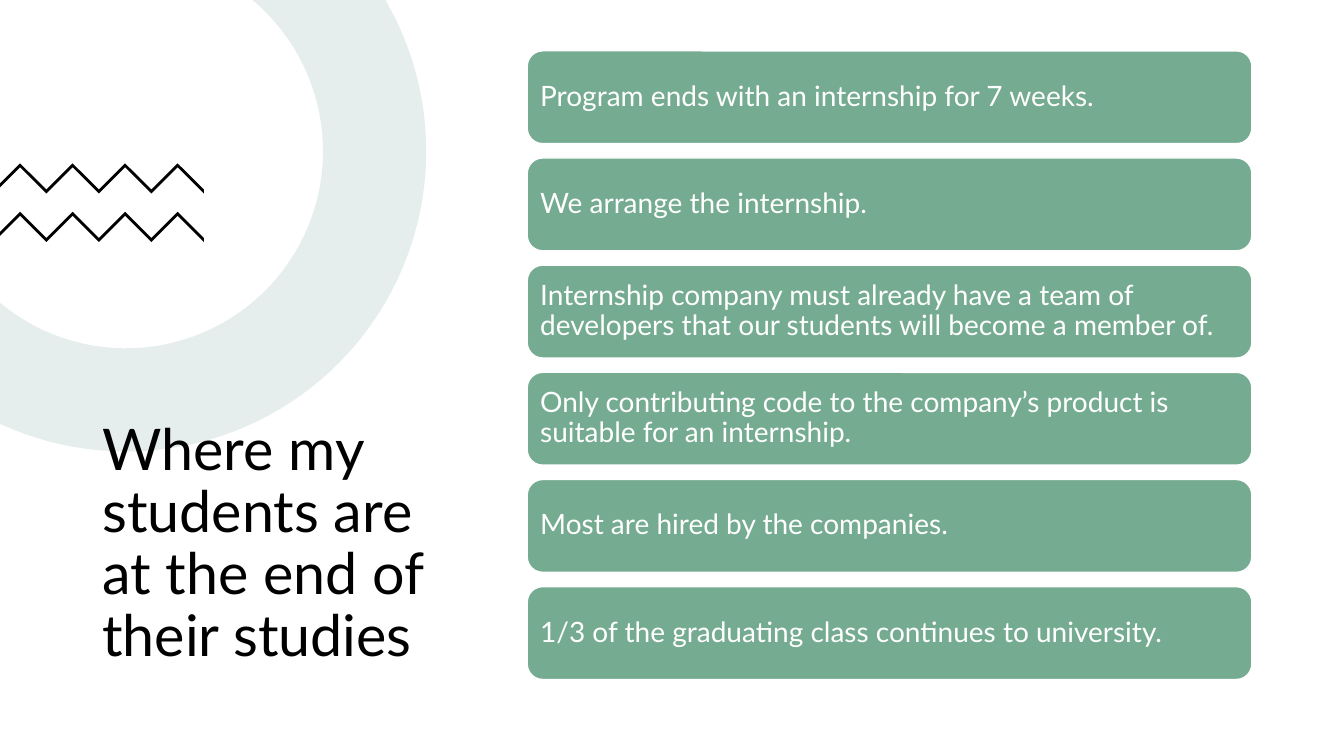
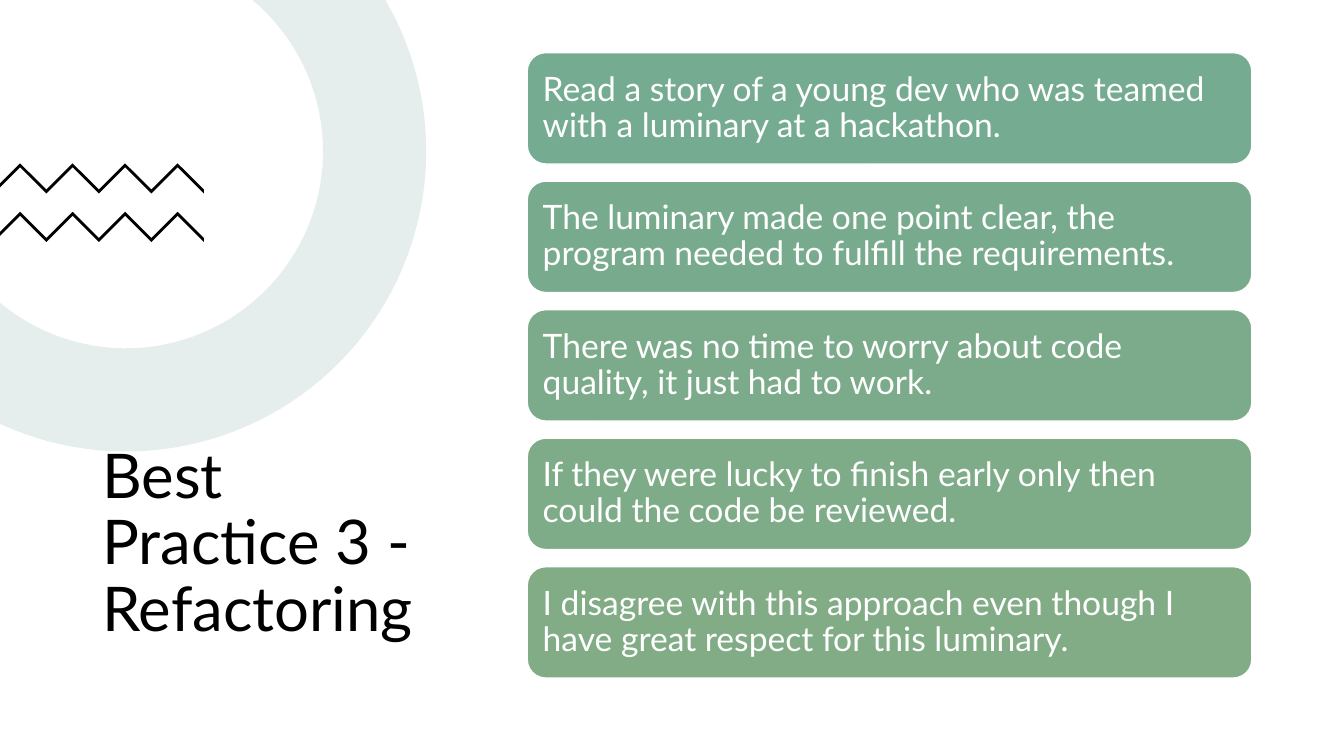
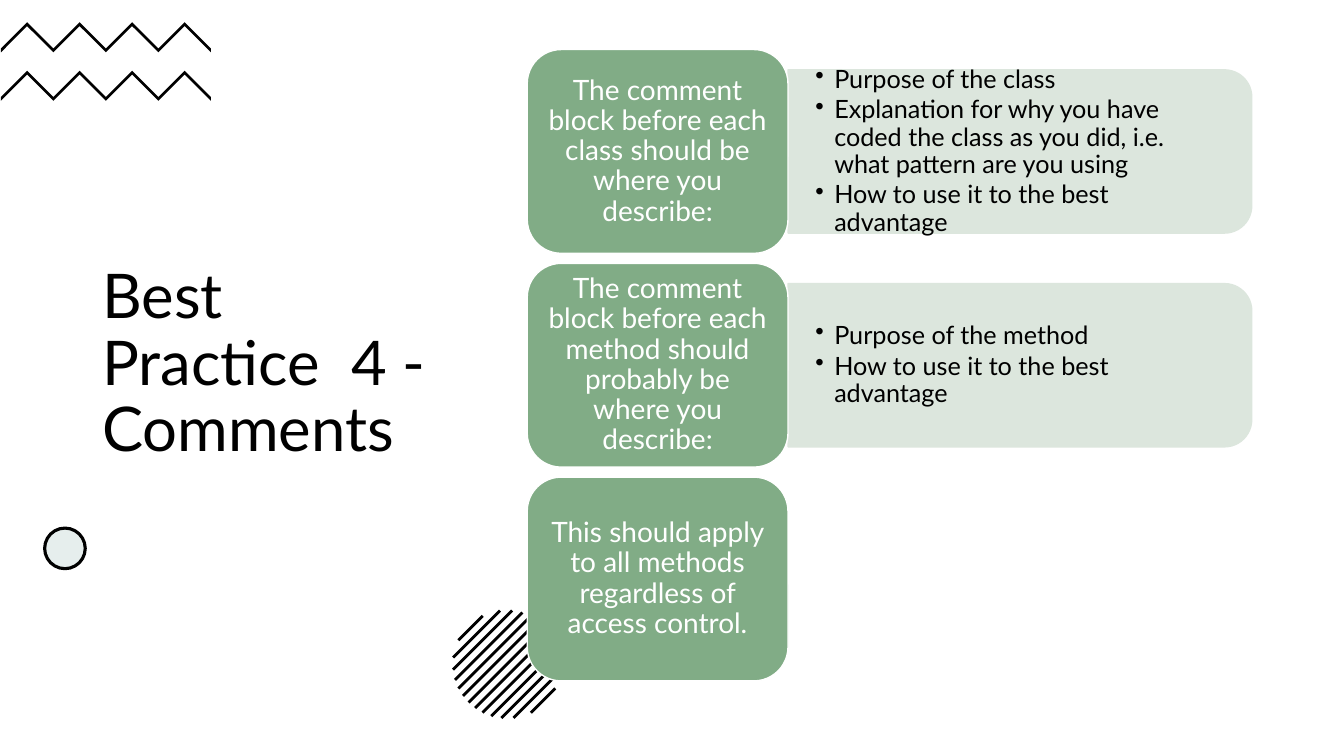
from math import acos, asin, cos, pi, sin, sqrt

from lxml import etree
from pptx import Presentation
from pptx.dml.color import RGBColor
from pptx.enum.shapes import MSO_CONNECTOR, MSO_SHAPE
from pptx.enum.text import MSO_ANCHOR, PP_ALIGN
from pptx.oxml.ns import qn
from pptx.util import Pt

FONT = "Lato"
BLACK = RGBColor(0x00, 0x00, 0x00)
WHITE = RGBColor(0xFF, 0xFF, 0xFF)
MIST = RGBColor(0xE6, 0xEE, 0xED)
PALE_GREEN = RGBColor(0xDC, 0xE6, 0xDD)
TEAL_GREEN = RGBColor(0x75, 0xAB, 0x91)
LEAF_GREEN = RGBColor(0x81, 0xAC, 0x86)
GREENS = [TEAL_GREEN, RGBColor(0x78, 0xAB, 0x8D), RGBColor(0x7B, 0xAB, 0x8A),
          RGBColor(0x7E, 0xAC, 0x88), LEAF_GREEN]

CARD_LEFT, CARD_WIDTH = 376.6, 517.6


def set_text(sp, texts, size, color, mx=7.2, my=3.6, align=PP_ALIGN.LEFT, bullets=False):
    tf = sp.text_frame
    tf.word_wrap = True
    tf.vertical_anchor = MSO_ANCHOR.MIDDLE
    tf.margin_left = tf.margin_right = Pt(mx)
    tf.margin_top = tf.margin_bottom = Pt(my)
    tf.text = "\n".join(texts)
    for p in tf.paragraphs:
        if bullets:
            pPr = p._p.get_or_add_pPr()
            pPr.set("marL", str(Pt(13.5)))
            pPr.set("indent", str(Pt(-13.5)))
            etree.SubElement(pPr, qn("a:buChar")).set("char", "•")
            p.space_after = Pt(2.5)
        p.alignment = align
        p.line_spacing = 0.9
        for r in p.runs:
            r.font.name = FONT
            r.font.size = Pt(size)
            r.font.color.rgb = color


def add_outline(s, points, color):
    points = [(Pt(x), Pt(y)) for x, y in points]
    builder = s.shapes.build_freeform(*points[0])
    builder.add_line_segments(points[1:])
    sp = builder.convert_to_shape()
    sp.shadow.inherit = False
    sp.fill.solid()
    sp.fill.fore_color.rgb = color
    sp.line.fill.background()


prs = Presentation()
prs.slide_width, prs.slide_height = Pt(960), Pt(540)

# Title, title top and height, title size, first zigzag peak
pages = [
    ("Where my students are at the end of their studies", 291.6, 195.1, 41, 14.4, 118.1),
    ("Best Practice 3 - Refactoring", 291.6, 195.1, 44, 14.4, 118.1),
    ("Best Practice  4 - Comments", 94.3, 333.4, 44, 19.4, 17.3),
]

# Cards for the first two slides: top, height, pitch, text size, colours, texts
card_lists = [
    (36.3, 66.3, 76.55, 20, [TEAL_GREEN] * 6, [
        "Program ends with an internship for 7 weeks.",
        "We arrange the internship.",
        "Internship company must already have a team of developers that our students "
        "will become a member of.",
        "Only contributing code to the company’s product is suitable for an internship.",
        "Most are hired by the companies.",
        "1/3 of the graduating class continues to university.",
    ]),
    (37.6, 79.6, 91.8, 24, GREENS, [
        "Read a story of a young dev who was teamed with a luminary at a hackathon.",
        "The luminary made one point clear, the program needed to fulfill the requirements.",
        "There was no time to worry about code quality, it just had to work.",
        "If they were lucky to finish early only then could the code be reviewed.",
        "I disagree with this approach even though I have great respect for this luminary.",
    ]),
]

# Ring cut off by the top and left slide edges
ring_x, ring_y = 90, 108
ring = []
for radius, direction in ((214.5, 1), (140.8, -1)):
    start, end = -asin(ring_y / radius), acos(-ring_x / radius)
    arc = [start + (end - start) * i / 60 for i in range(61)]
    ring += [(ring_x + radius * cos(a), ring_y + radius * sin(a)) for a in arc[::direction]]

# Parts shared by the slides
slides = []
for i, (title, top, height, size, peak_x, peak_y) in enumerate(pages):
    s = prs.slides.add_slide(prs.slide_layouts[6])
    slides.append(s)
    if i < len(card_lists):
        add_outline(s, ring, MIST)
    sp = s.shapes.add_textbox(Pt(66), Pt(top), Pt(252), Pt(height))
    set_text(sp, [title], size, BLACK)

    # Two zigzags
    step, half = 18.75, 1.4
    for y in (peak_y, peak_y + 34.6):
        x0 = max(0, peak_x - step)
        wave = [(x0, y + peak_x - x0)]
        wave += [(peak_x + k * step, y + k % 2 * step) for k in range(8)]
        upper = [(px, py - half) for px, py in wave]
        lower = [(px, py + half) for px, py in reversed(wave)]
        add_outline(s, upper + lower, BLACK)

# Slides 1 and 2: stacked cards
for s, (top, height, pitch, size, colors, texts) in zip(slides, card_lists):
    for i, (color, text) in enumerate(zip(colors, texts)):
        sp = s.shapes.add_shape(MSO_SHAPE.ROUNDED_RECTANGLE, Pt(CARD_LEFT),
                                Pt(top + i * pitch), Pt(CARD_WIDTH), Pt(height))
        sp.shadow.inherit = False
        sp.fill.solid()
        sp.fill.fore_color.rgb = color
        sp.line.color.rgb = WHITE
        sp.line.width = Pt(1)
        set_text(sp, [text], size, WHITE, size * 0.3, size * 0.3)

# Slide 3: small circle
s = slides[2]
sp = s.shapes.add_shape(MSO_SHAPE.OVAL, Pt(31.9), Pt(377.2), Pt(29), Pt(29))
sp.shadow.inherit = False
sp.fill.solid()
sp.fill.fore_color.rgb = MIST
sp.line.color.rgb = BLACK
sp.line.width = Pt(2.25)

# Slide 3: disc of diagonal stripes
disc_x, disc_y, disc_r, gap = 362, 474.5, 38.6, 6.1
for i in range(-6, 7):
    offset = i * gap
    chord = sqrt(disc_r ** 2 - offset ** 2)
    dx, dy = offset * cos(pi / 4), chord * cos(pi / 4)
    line = s.shapes.add_connector(MSO_CONNECTOR.STRAIGHT,
                                  Pt(disc_x + dx + dy), Pt(disc_y + dx - dy),
                                  Pt(disc_x + dx - dy), Pt(disc_y + dx + dy))
    line.line.color.rgb = BLACK
    line.line.width = Pt(2)
    etree.SubElement(line._element.spPr, qn("a:effectLst"))

# Slide 3: topics with their details
topics = [
    ("The comment block before each class should be where you describe:", [
        "Purpose of the class",
        "Explanation for why you have coded the class as you did, i.e. what pattern are you using",
        "How to use it to the best advantage",
    ]),
    ("The comment block before each method should probably be where you describe:", [
        "Purpose of the method",
        "How to use it to the best advantage",
    ]),
    ("This should apply to all methods regardless of access control.", []),
]
topic_w, topic_h, panel_w, panel_h = 186.3, 145.6, 331.2, 116.6
panel_left = CARD_LEFT + topic_w
for i, (topic, details) in enumerate(topics):
    top = 35.4 + i * 152.7
    middle = top + topic_h / 2
    if details:
        # The panel is turned a quarter so that its round corners face right
        sp = s.shapes.add_shape(MSO_SHAPE.ROUND_2_SAME_RECTANGLE,
                                Pt(panel_left + (panel_w - panel_h) / 2),
                                Pt(middle - panel_w / 2), Pt(panel_h), Pt(panel_w))
        sp.rotation = 90
        sp.shadow.inherit = False
        sp.fill.solid()
        sp.fill.fore_color.rgb = PALE_GREEN
        sp.line.color.rgb = PALE_GREEN
        sp.line.width = Pt(1)
        sp = s.shapes.add_textbox(Pt(panel_left), Pt(middle - 52.6), Pt(325.4), Pt(105.2))
        set_text(sp, details, 18, BLACK, 19.5, 9.75, bullets=True)
    sp = s.shapes.add_shape(MSO_SHAPE.ROUNDED_RECTANGLE, Pt(CARD_LEFT), Pt(top),
                            Pt(topic_w), Pt(topic_h))
    sp.shadow.inherit = False
    sp.fill.solid()
    sp.fill.fore_color.rgb = LEAF_GREEN
    sp.line.color.rgb = WHITE
    sp.line.width = Pt(1)
    set_text(sp, [topic], 20, WHITE, 6, 3, PP_ALIGN.CENTER)

prs.save("out.pptx")
